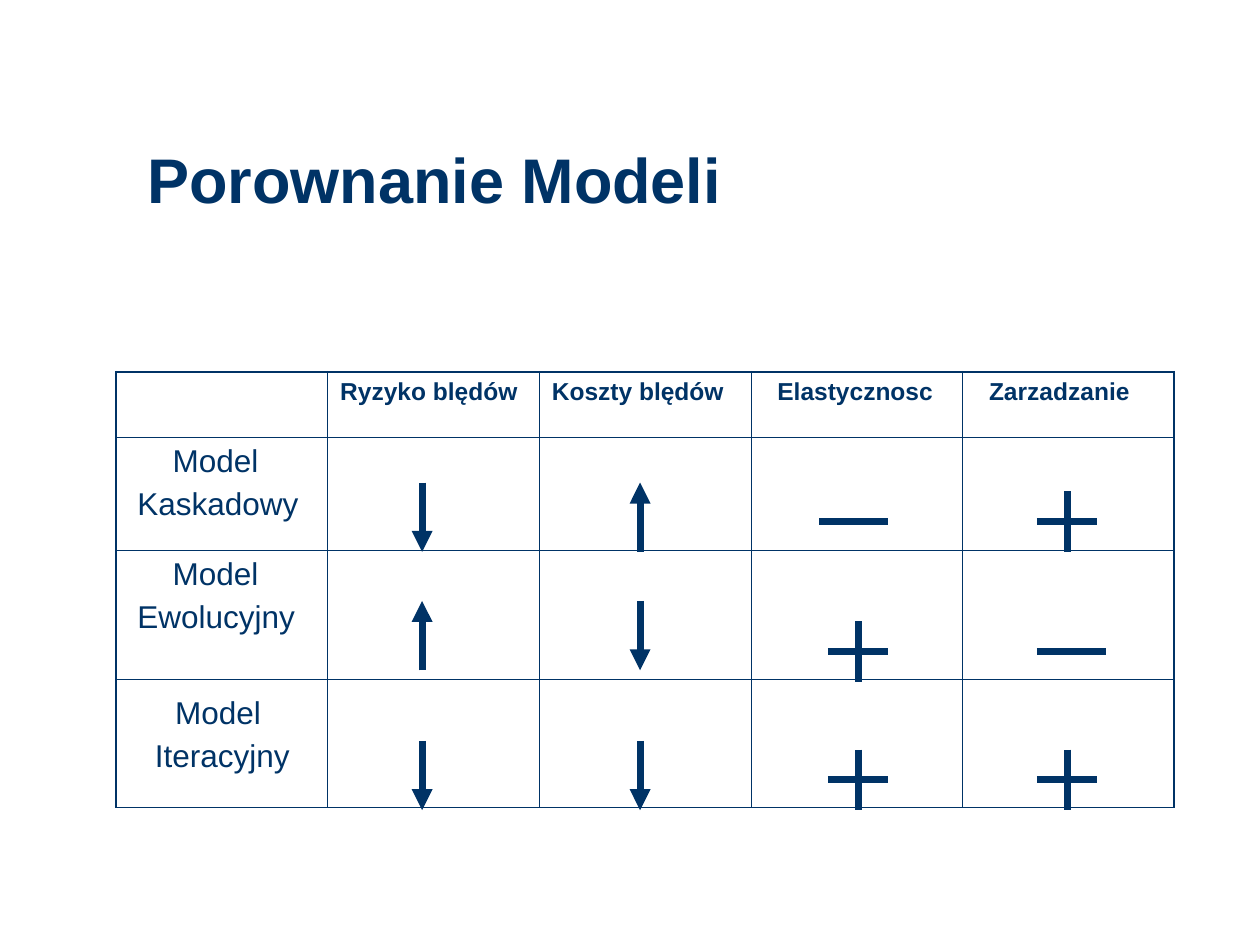
import pptx
import pptx.util
import pptx.dml.color
import pptx.enum.shapes
import pptx.enum.text
import pptx.oxml
import pptx.oxml.ns

Inches = pptx.util.Inches
Pt = pptx.util.Pt
NAVY = "003366"
HEADS = [("", 0), ("Ryzyko blędów", 0), ("Koszty blędów", 0),
         ("Elastycznosc", 0.11), ("Zarzadzanie", 0.11)]
# Each model: its name, then the indent of each of the two lines
MODELS = [("Kaskadowy", 0.35, 0.07), ("Ewolucyjny", 0.35, 0.07),
          ("Iteracyjny", 0.37, 0.21)]
HEIGHTS = [0.52, 0.9, 1.02, 1.02]
COL_W = 1.68
ARROW_X = [3.35, 5.08]
ARROW_Y = [3.83, 4.77, 5.88]
ARROWS = ["du", "ud", "dd"]
SIGN_X = [6.81, 8.47]
SIGN_Y = [4.14, 5.17, 6.19]
SIGNS = ["-+", "+-", "++"]
MINUS_X = [6.5, 8.23]
LONG = 0.55
HALF = 0.24


def color(text):
    return pptx.dml.color.RGBColor.from_string(text)


def style(par, size, bold=False):
    font = par.font
    font.name = "Arial"
    font.size = Pt(size)
    font.bold = bold
    font.color.rgb = color(NAVY)


def add_title(slide, text):
    title = slide.shapes.title
    title.left, title.top = Inches(1.07), Inches(0.82)
    title.width, title.height = Inches(8.03), Inches(0.95)
    frame = title.text_frame
    frame.text = text
    frame.auto_size = pptx.enum.text.MSO_AUTO_SIZE.NONE
    frame.vertical_anchor = pptx.enum.text.MSO_ANCHOR.BOTTOM
    par = frame.paragraphs[0]
    par.alignment = pptx.enum.text.PP_ALIGN.LEFT
    par.line_spacing = 0.9
    style(par, 36, True)


def set_edges(cell, widths):
    """Draw the left, right, top and bottom edges, widths in points."""
    props = cell._tc.get_or_add_tcPr()
    for i, (side, width) in enumerate(zip("LRTB", widths)):
        props.insert(i, pptx.oxml.parse_xml(
            f'<a:ln{side} {pptx.oxml.ns.nsdecls("a")} w="{Pt(width)}">'
            f'<a:solidFill><a:srgbClr val="{NAVY}"/></a:solidFill>'
            f'</a:ln{side}>'))


def fill_cell(cell, lines, size, bold=False):
    """Write lines given as (text, indent in inches)."""
    frame = cell.text_frame
    for i, (text, indent) in enumerate(lines):
        par = frame.add_paragraph() if i else frame.paragraphs[0]
        par.text = text
        if indent:
            props = par._p.get_or_add_pPr()
            props.set("marL", str(Inches(indent)))
            props.set("indent", "0")
        if i:
            par.space_before = Pt(4.5)
        style(par, size, bold)


def add_grid(slide):
    rows, cols = len(HEIGHTS), len(HEADS)
    frame = slide.shapes.add_table(
        rows, cols, Inches(0.92), Inches(2.95),
        Inches(COL_W * cols), Inches(sum(HEIGHTS)))
    table = frame.table
    table.first_row = table.horz_banding = False
    for col in table.columns:
        col.width = Inches(COL_W)
    for r, height in enumerate(HEIGHTS):
        table.rows[r].height = Inches(height)
        for c in range(cols):
            cell = table.cell(r, c)
            cell.fill.background()
            outer = (c == 0, c == cols - 1, r == 0, r == rows - 1)
            set_edges(cell, [1.08 if edge else 0.45 for edge in outer])
    for c, head in enumerate(HEADS):
        fill_cell(table.cell(0, c), [head], 14, True)
    for r, (name, first, second) in enumerate(MODELS, 1):
        fill_cell(table.cell(r, 0), [("Model", first), (name, second)], 18)
    table.cell(rows - 1, 0).margin_top = Inches(0.13)


def add_line(slide, x1, y1, x2, y2, arrow=False):
    line = slide.shapes.add_connector(
        pptx.enum.shapes.MSO_CONNECTOR.STRAIGHT,
        Inches(x1), Inches(y1), Inches(x2), Inches(y2))
    line.line.color.rgb = color(NAVY)
    line.line.width = Pt(4)
    space = pptx.oxml.ns.nsdecls("a")
    if arrow:
        line.line._get_or_add_ln().append(
            pptx.oxml.parse_xml(f'<a:tailEnd {space} type="triangle"/>'))
    line._element.spPr.append(pptx.oxml.parse_xml(f"<a:effectLst {space}/>"))


def add_arrows(slide):
    for y, marks in zip(ARROW_Y, ARROWS):
        for x, mark in zip(ARROW_X, marks):
            ends = (y, y + LONG) if mark == "d" else (y + LONG, y)
            add_line(slide, x, ends[0], x, ends[1], True)


def add_signs(slide):
    for y, marks in zip(SIGN_Y, SIGNS):
        for x, left, mark in zip(SIGN_X, MINUS_X, marks):
            if mark == "-":
                add_line(slide, left, y, left + LONG, y)
            else:
                add_line(slide, x - HALF, y, x + HALF, y)
                add_line(slide, x, y - HALF, x, y + HALF)


def main():
    deck = pptx.Presentation()
    deck.slide_width, deck.slide_height = Inches(10), Inches(7.5)
    slide = deck.slides.add_slide(deck.slide_layouts[5])
    add_title(slide, "Porownanie Modeli")
    add_grid(slide)
    add_arrows(slide)
    add_signs(slide)
    deck.save("out.pptx")


if __name__ == "__main__":
    main()
